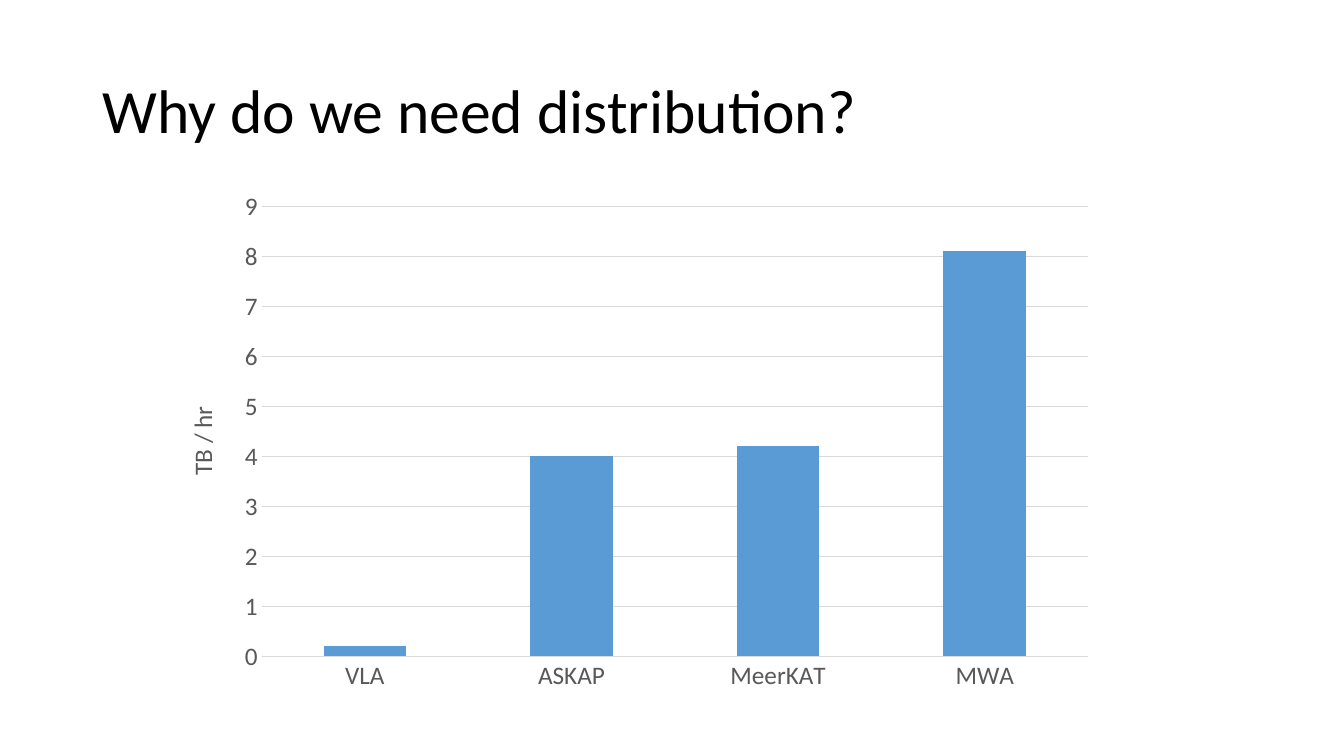
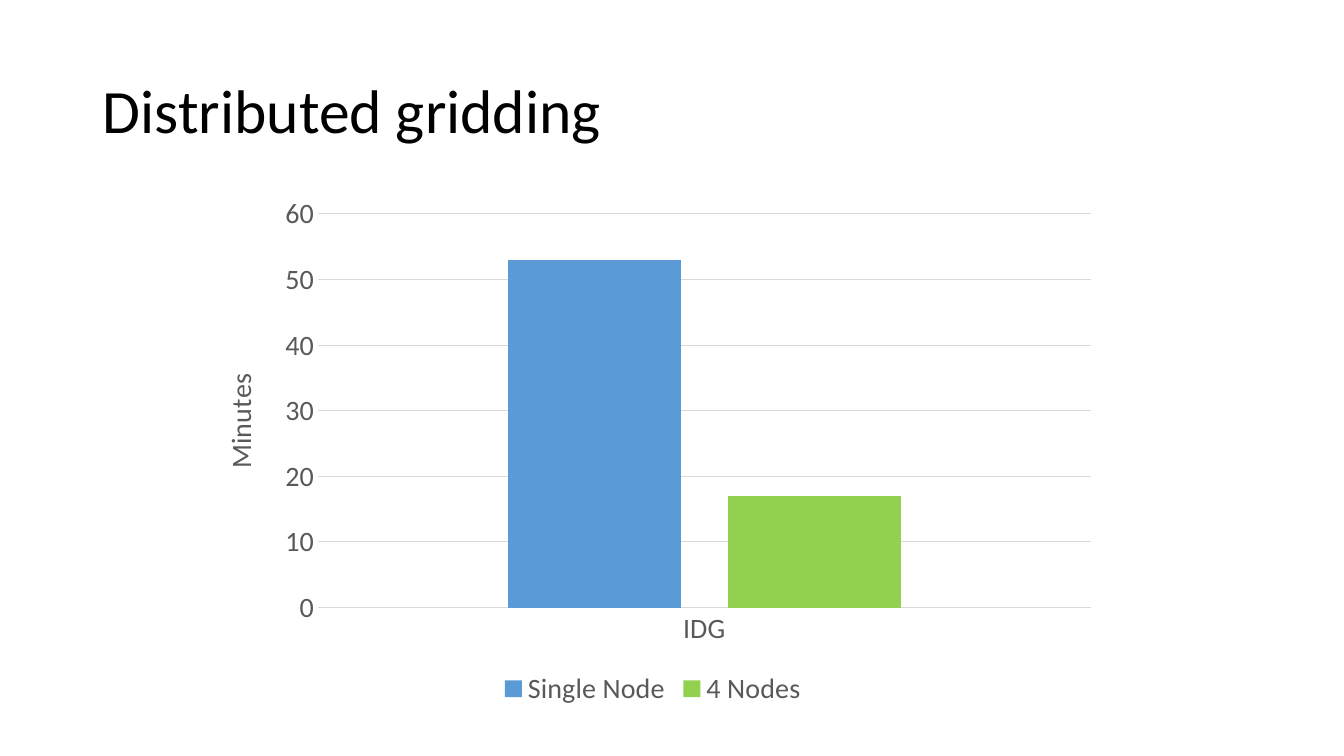
from dataclasses import dataclass

from lxml.etree import SubElement
from pptx import Presentation
from pptx.chart.axis import CategoryAxis, ValueAxis
from pptx.chart.chart import Chart
from pptx.chart.data import CategoryChartData
from pptx.dml.color import RGBColor
from pptx.enum.chart import XL_CHART_TYPE, XL_LEGEND_POSITION, XL_TICK_MARK
from pptx.enum.text import MSO_ANCHOR, PP_ALIGN
from pptx.oxml.ns import qn
from pptx.presentation import Presentation as Deck
from pptx.shapes.autoshape import Shape
from pptx.text.text import Font
from pptx.util import Inches, Pt

FACE = "Calibri"
COLORS = {
    "paper": "FFFFFF",
    "title": "000000",
    "label": "595959",
    "grid": "D9D9D9",
    "blue": "5B9BD5",
    "green": "92D050",
}
WIDTH, HEIGHT = Inches(13.33), Inches(7.5)


@dataclass(frozen=True)
class Box:
    """Left, top, width and height as percentages of the parent."""

    x: float
    y: float
    w: float
    h: float

    def place(self) -> tuple[int, int, int, int]:
        return (
            int(WIDTH * self.x / 100),
            int(HEIGHT * self.y / 100),
            int(WIDTH * self.w / 100),
            int(HEIGHT * self.h / 100),
        )


@dataclass(frozen=True)
class Series:
    name: str
    values: tuple[float, ...]
    color: str


@dataclass(frozen=True)
class Page:
    title: str
    unit: str
    cats: tuple[str, ...]
    series: tuple[Series, ...]
    box: Box
    plot: Box
    size: int
    gap: int
    lap: int
    top: int
    step: int


TITLE = Box(6.9, 5.33, 86.27, 19.33)
PAGES = (
    Page(
        title="Why do we need distribution?",
        unit="TB / hr",
        cats=("VLA", "ASKAP", "MeerKAT", "MWA"),
        series=(Series("Series 1", (0.2, 4, 4.2, 8.1), "blue"),),
        box=Box(12.08, 23.87, 70.29, 68.93),
        plot=Box(10.5, 5, 87.5, 86.3),
        size=18, gap=150, lap=0, top=9, step=1,
    ),
    Page(
        title="Distributed gridding",
        unit="Minutes",
        cats=("IDG",),
        series=(
            Series("Single Node", (53,), "blue"),
            Series("4 Nodes", (17,), "green"),
        ),
        box=Box(14.63, 24.67, 67.89, 69.47),
        plot=Box(13.3, 5.2, 84.7, 75),
        size=20, gap=219, lap=-27, top=60, step=10,
    ),
)


def tint(name: str) -> RGBColor:
    return RGBColor.from_string(COLORS[name])


def style(font: Font, size: int, color: str) -> None:
    font.name = FACE
    font.size = Pt(size)
    font.bold = False
    font.color.rgb = tint(color)


def head(shape: Shape, text: str) -> None:
    shape.left, shape.top, shape.width, shape.height = TITLE.place()
    frame = shape.text_frame
    frame.text = text
    frame.vertical_anchor = MSO_ANCHOR.MIDDLE
    para = frame.paragraphs[0]
    para.alignment = PP_ALIGN.LEFT
    para.line_spacing = 0.9
    style(para.font, 44, "title")


def fit(chart: Chart, plot: Box) -> None:
    area = chart.element.xpath("c:chart/c:plotArea")[0]
    for old in area.findall(qn("c:layout")):
        area.remove(old)
    layout = SubElement(area, qn("c:layout"))
    area.insert(0, layout)
    manual = SubElement(layout, qn("c:manualLayout"))
    parts = {"layoutTarget": "inner", "xMode": "edge", "yMode": "edge"}
    parts |= {key: str(round(getattr(plot, key) / 100, 3)) for key in "xywh"}
    for key, value in parts.items():
        SubElement(manual, qn(f"c:{key}")).set("val", value)


def base(axis: CategoryAxis | ValueAxis, size: int) -> None:
    axis.major_tick_mark = axis.minor_tick_mark = XL_TICK_MARK.NONE
    style(axis.tick_labels.font, size, "label")


def scale(axis: ValueAxis, page: Page) -> None:
    base(axis, page.size)
    axis.minimum_scale, axis.maximum_scale = 0, page.top
    axis.major_unit = page.step
    axis.format.line.fill.background()
    line = axis.major_gridlines.format.line
    line.color.rgb, line.width = tint("grid"), Pt(0.75)
    title = axis.axis_title
    title.text_frame.text = page.unit
    style(title.text_frame.paragraphs[0].font, page.size, "label")
    title.element.xpath(".//a:bodyPr")[0].set("rot", "-5400000")


def graph(chart: Chart, page: Page) -> None:
    style(chart.font, page.size, "title")
    chart.has_title = False
    chart.has_legend = len(page.series) > 1
    if chart.has_legend:
        chart.legend.position = XL_LEGEND_POSITION.BOTTOM
        chart.legend.include_in_layout = False
        style(chart.legend.font, page.size, "label")
    base(chart.category_axis, page.size)
    line = chart.category_axis.format.line
    line.color.rgb, line.width = tint("grid"), Pt(0.75)
    scale(chart.value_axis, page)
    bars = chart.plots[0]
    bars.gap_width, bars.overlap = page.gap, page.lap
    bars.vary_by_categories = False
    for bar, item in zip(bars.series, page.series):
        bar.format.fill.solid()
        bar.format.fill.fore_color.rgb = tint(item.color)
    fit(chart, page.plot)


def draw(deck: Deck, page: Page) -> None:
    slide = deck.slides.add_slide(deck.slide_layouts.get_by_name("Title Only"))
    slide.background.fill.solid()
    slide.background.fill.fore_color.rgb = tint("paper")
    head(slide.shapes.title, page.title)
    data = CategoryChartData()
    data.categories = page.cats
    for item in page.series:
        data.add_series(item.name, item.values)
    frame = slide.shapes.add_chart(
        XL_CHART_TYPE.COLUMN_CLUSTERED, *page.box.place(), data
    )
    graph(frame.chart, page)


def main() -> None:
    deck = Presentation()
    deck.slide_width, deck.slide_height = WIDTH, HEIGHT
    for page in PAGES:
        draw(deck, page)
    deck.save("out.pptx")


if __name__ == "__main__":
    main()
